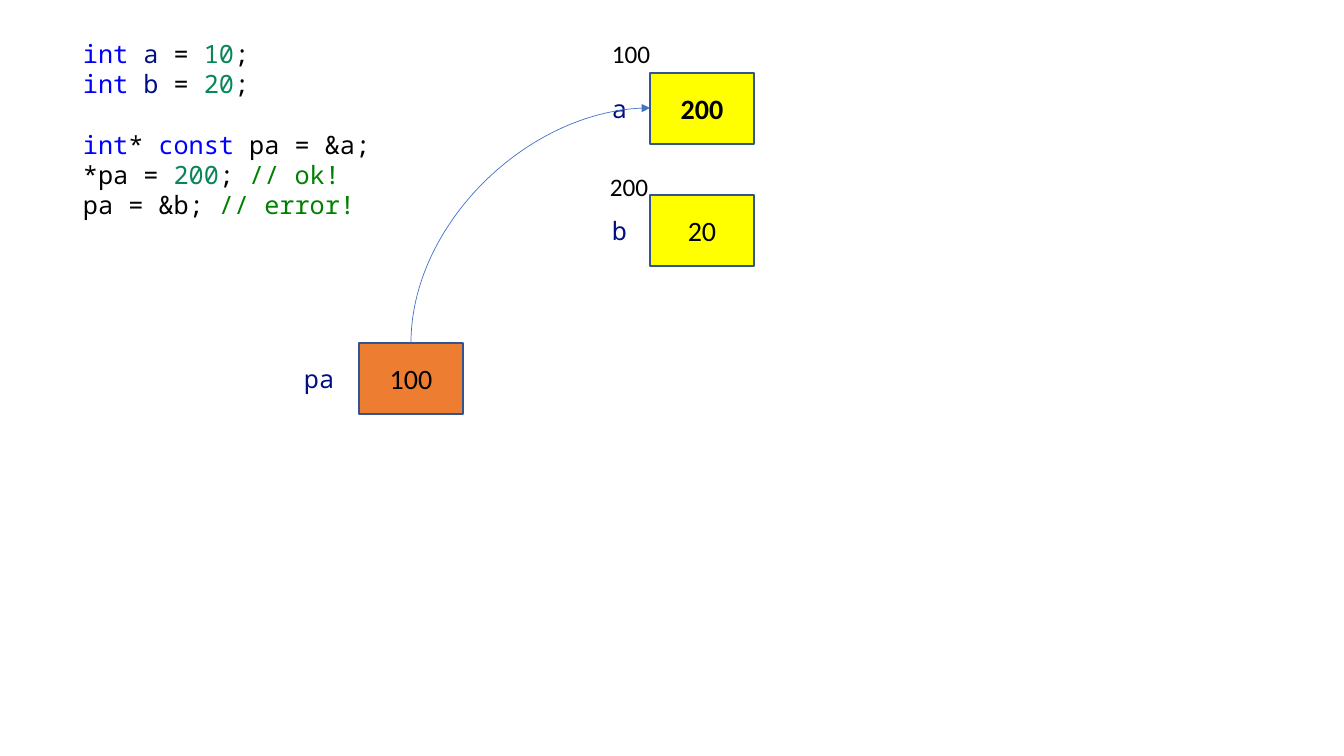
"""Build a slide on a constant pointer, with its code and a memory sketch."""
from lxml.etree import SubElement
from pptx import Presentation
from pptx.dml.color import RGBColor
from pptx.enum.shapes import MSO_CONNECTOR, MSO_SHAPE
from pptx.enum.text import MSO_ANCHOR, MSO_AUTO_SIZE, PP_ALIGN
from pptx.oxml.ns import qn
from pptx.util import Pt

HUES = {"type": "0000FF", "name": "001080", "plain": "000000",
        "num": "098658", "note": "008000", "var": "FFFF00",
        "ptr": "ED7D31", "edge": "325491", "arrow": "4472C4"}
MONO = {"name": "Noto Sans Mono", "size": Pt(18)}
ADDR = {"name": "Calibri", "size": Pt(18)}
VALUE = {"name": "Calibri", "size": Pt(20)}
CELL = (104, 71)
CODE = [
    [("int ", "type"), ("a", "name"), (" = ", "plain"), ("10", "num"), (";", "plain")],
    [("int ", "type"), ("b", "name"), (" = ", "plain"), ("20", "num"), (";", "plain")],
    [("int", "type"), ("* ", "plain"), ("const", "type"), (" pa = &a;", "plain")],
    [("*pa = ", "plain"), ("200", "num"), ("; ", "plain"), ("// ok!", "note")],
    [("pa = &b; ", "plain"), ("// error!", "note")],
]


def px(*nums):
    return [round(n * 914400 / 100.8) for n in nums]


def hue(key):
    return RGBColor.from_string(HUES[key])


def write(para, text, key, form):
    run = para.add_run()
    run.text = text
    run.font.color.rgb = hue(key)
    for attr, val in form.items():
        setattr(run.font, attr, val)


def label(slide, box, lines, form, wrap=True):
    frame = slide.shapes.add_textbox(*px(*box)).text_frame
    frame.word_wrap = wrap
    frame.auto_size = MSO_AUTO_SIZE.SHAPE_TO_FIT_TEXT
    for row, line in enumerate(lines):
        para = frame.add_paragraph() if row else frame.paragraphs[0]
        for text, key in line:
            write(para, text, key, form)
    return frame


def code(slide, box):
    frame = label(slide, box, CODE, MONO)
    frame.paragraphs[2].space_before = Pt(22)


def cell(slide, spot, name, value, fill, wide, left, addr=None, bold=False):
    x, y = spot
    rect = slide.shapes.add_shape(MSO_SHAPE.RECTANGLE, *px(x, y, *CELL))
    rect.shadow.inherit = False
    rect.fill.solid()
    rect.fill.fore_color.rgb = hue(fill)
    rect.line.color.rgb = hue("edge")
    rect.line.width = Pt(1)
    rect.text_frame.vertical_anchor = MSO_ANCHOR.MIDDLE
    para = rect.text_frame.paragraphs[0]
    para.alignment = PP_ALIGN.CENTER
    write(para, value, "plain", {**VALUE, "bold": bold})
    label(slide, (x - left, y + 15, wide, 40), [[(name, "name")]], MONO)
    if addr:
        text, dx, dy = addr
        label(slide, (x - dx, y - dy, 59, 40), [[(text, "plain")]], ADDR, False)


def arrow(slide, start, end):
    (x1, y1), (x2, y2) = start, end
    midx, midy = (x1 + x2) / 2, (y1 + y2) / 2
    halfw, halfh = (y1 - y2) / 2, (x2 - x1) / 2
    curve = slide.shapes.add_connector(
        MSO_CONNECTOR.CURVE,
        *px(midx + halfw, midy + halfh, midx - halfw, midy - halfh))
    curve.line.color.rgb = hue("arrow")
    curve.line.width = Pt(0.5)
    props = curve._element.spPr
    props.find(qn("a:xfrm")).set("rot", str(90 * 60000))
    props.find(qn("a:prstGeom")).set("prst", "curvedConnector2")
    SubElement(props.find(qn("a:ln")), qn("a:tailEnd")).set("type", "triangle")
    SubElement(props, qn("a:effectLst"))


def main():
    deck = Presentation()
    deck.slide_width, deck.slide_height = px(1344, 756)
    slide = deck.slides.add_slide(deck.slide_layouts[6])
    a, b, pa = (650, 73), (650, 195), (359, 343)
    code(slide, (73, 33, 672, 194))
    cell(slide, a, "a", "200", "var", 38, 48, ("100", 48, 40), True)
    cell(slide, b, "b", "20", "var", 38, 48, ("200", 50, 29))
    cell(slide, pa, "pa", "100", "ptr", 66, 65)
    arrow(slide, (pa[0] + CELL[0] // 2, pa[1]), (a[0], a[1] + CELL[1] // 2))
    deck.save("out.pptx")


main()
